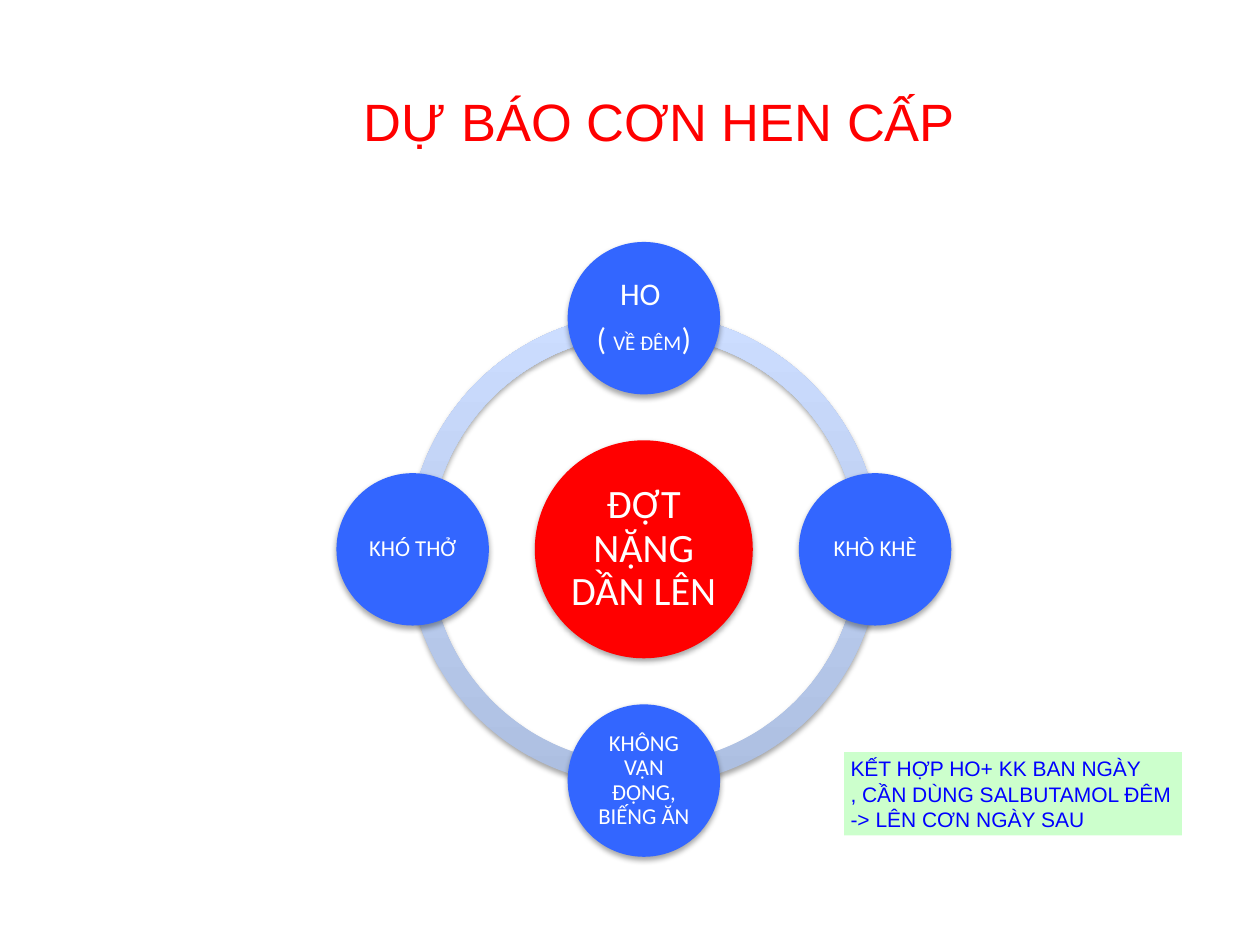
from lxml import etree
from pptx import Presentation
from pptx import util as u
from pptx.dml.color import RGBColor
from pptx.enum import shapes, text
from pptx.oxml import ns

PX = 9144  # EMU, 100 px to the inch

RED = RGBColor(0xFF, 0x00, 0x00)
BLUE = RGBColor(0x33, 0x66, 0xFF)
INK = RGBColor(0x00, 0x00, 0xFF)
MINT = RGBColor(0xCC, 0xFF, 0xCC)
WHITE = RGBColor(0xFF, 0xFF, 0xFF)
RING_DARK = RGBColor(0xAD, 0xBF, 0xE1)
RING_LIGHT = RGBColor(0xCC, 0xDD, 0xFF)

SHADOW = (
    f'<a:effectLst {ns.nsdecls("a")}>'
    '<a:outerShdw blurRad="40000" dist="23000" dir="5400000" rotWithShape="0">'
    '<a:srgbClr val="000000"><a:alpha val="35000"/></a:srgbClr>'
    '</a:outerShdw></a:effectLst>'
)


def px(*lengths):
    return [round(length * PX) for length in lengths]


def set_insets(frame, side, end):
    frame.margin_left = frame.margin_right = side * PX
    frame.margin_top = frame.margin_bottom = end * PX


def format_spans(para, font, size, color):
    for span in para.runs:
        span.font.name = font
        span.font.size = u.Pt(size)
        span.font.color.rgb = color


def add_shadowed(page, kind, left, top, size):
    """Add a square-boxed shape without outline, with a soft shadow below."""
    shape = page.shapes.add_shape(kind, *px(left, top, size, size))
    shape.line.fill.background()
    shape._element.spPr.append(etree.fromstring(SHADOW))
    return shape


def add_title(page, left, top, width, height):
    box = page.shapes.add_textbox(*px(left, top, width, height))
    frame = box.text_frame
    frame.word_wrap = True
    frame.vertical_anchor = text.MSO_ANCHOR.MIDDLE
    frame.text = "DỰ BÁO CƠN HEN CẤP "
    para = frame.paragraphs[0]
    para.alignment = text.PP_ALIGN.CENTER
    format_spans(para, "Arial", 30, RED)


def add_disc(page, center_x, center_y, size, color, words, points, inset):
    disc = add_shadowed(page, shapes.MSO_SHAPE.OVAL,
                        center_x - size / 2, center_y - size / 2, size)
    disc.fill.solid()
    disc.fill.fore_color.rgb = color
    frame = disc.text_frame
    frame.word_wrap = True
    frame.vertical_anchor = text.MSO_ANCHOR.MIDDLE
    set_insets(frame, inset, inset)
    frame.text = words
    for para in frame.paragraphs:
        para.alignment = text.PP_ALIGN.CENTER
        para.line_spacing = 0.9
        after = etree.SubElement(para._p.get_or_add_pPr(), ns.qn("a:spcAft"))
        etree.SubElement(after, ns.qn("a:spcPct")).set("val", "35000")
        format_spans(para, "Calibri", points, WHITE)
    return disc


def add_ring(page, center_x, center_y, size):
    """Four quarter arcs; an arc angle of 54 is a quarter turn."""
    for start, end in ((108, 162), (54, 108), (0, 54), (162, 0)):
        arc = add_shadowed(page, shapes.MSO_SHAPE.BLOCK_ARC,
                           center_x - size / 2, center_y - size / 2, size)
        for index, value in enumerate((start, end, 0.046)):
            arc.adjustments[index] = value
        arc.fill.gradient()
        arc.fill.gradient_angle = 90
        for stop, color in zip(arc.fill.gradient_stops, (RING_DARK, RING_LIGHT)):
            stop.color.rgb = color


def add_cycle(page, left, top, size):
    """Draw the hub, its ring and the four warning signs in a square box."""
    center_x, center_y = left + size / 2, top + size / 2
    disc_size = 121
    orbit = (size - disc_size) / 2

    add_ring(page, center_x, center_y, 375)
    add_disc(page, center_x, center_y, 173, RED, "ĐỢT NẶNG DẦN LÊN", 23, 3)

    signs = (
        (0, -1, "HO \n( ", 18, 3),
        (1, 0, "KHÒ KHÈ", 13, 2),
        (0, 1, "KHÔNG VẬN ĐỘNG, BIẾNG ĂN", 13, 2),
        (-1, 0, "KHÓ THỞ", 13, 2),
    )
    discs = [
        add_disc(page, center_x + across * orbit, center_y + down * orbit,
                 disc_size, BLUE, words, points, inset)
        for across, down, words, points, inset in signs
    ]

    night = discs[0].text_frame.paragraphs[1]
    for words in ("VỀ ĐÊM", ")"):
        night.add_run().text = words
    format_spans(night, "Calibri", 18, WHITE)
    night.runs[1].font.size = u.Pt(12)


def add_note(page, left, top, width, height):
    box = page.shapes.add_textbox(*px(left, top, width, height))
    box.fill.solid()
    box.fill.fore_color.rgb = MINT
    frame = box.text_frame
    frame.word_wrap = False
    frame.auto_size = text.MSO_AUTO_SIZE.SHAPE_TO_FIT_TEXT
    set_insets(frame, 5, 3)
    frame.text = ("KẾT HỢP HO+ KK BAN NGÀY\n"
                  ", CẦN DÙNG SALBUTAMOL ĐÊM\n"
                  "-> LÊN CƠN NGÀY SAU")
    for para in frame.paragraphs:
        format_spans(para, "Arial", 12, INK)


def main():
    deck = Presentation()
    deck.slide_width, deck.slide_height = px(1000, 750)
    page = deck.slides.add_slide(deck.slide_layouts[6])
    add_title(page, 104, 58, 850, 75)
    add_cycle(page, 267, 192, 488)
    add_note(page, 670, 597, 268, 66)
    deck.save("out.pptx")


if __name__ == "__main__":
    main()
